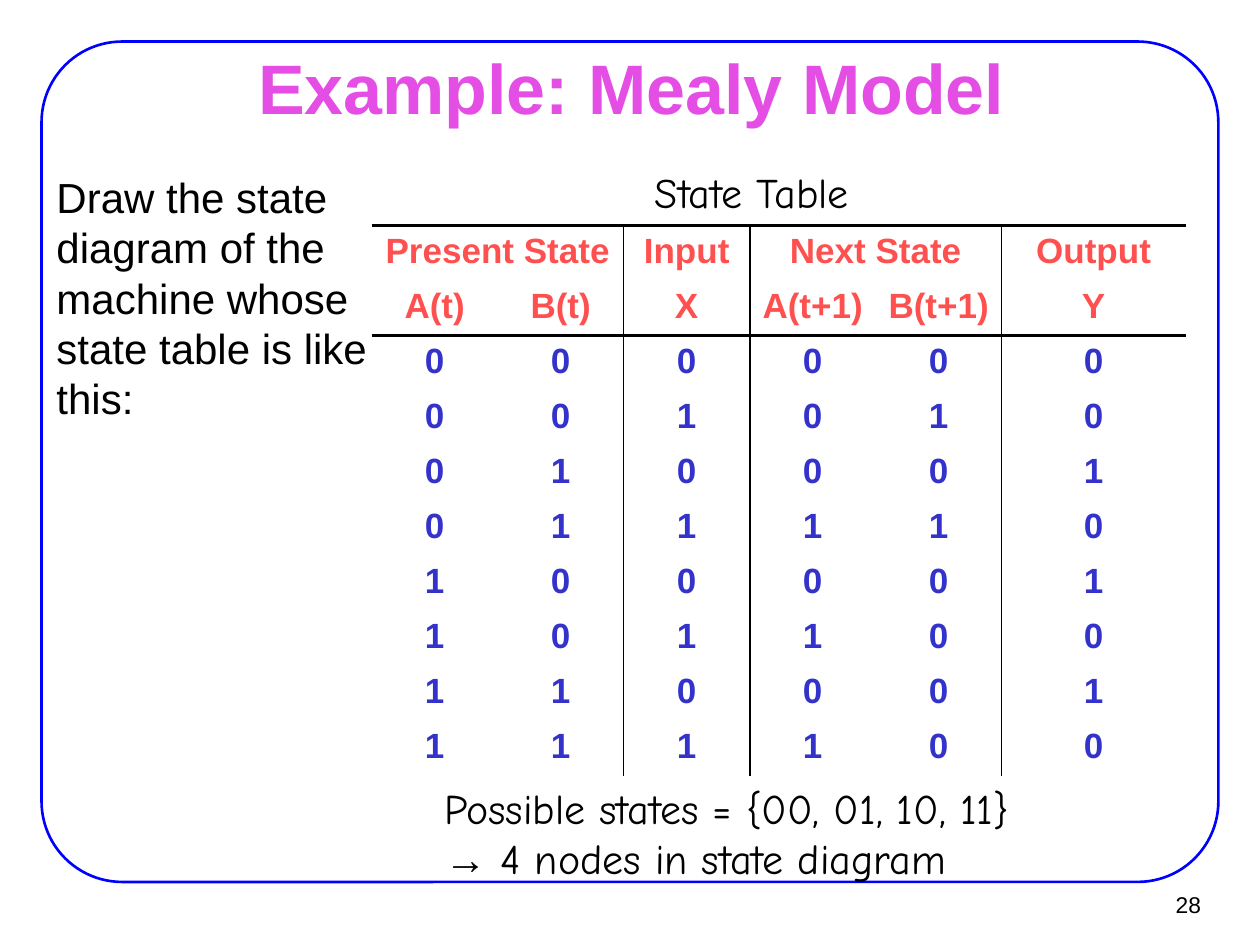
from pptx import Presentation
from pptx.dml.color import RGBColor
from pptx.enum.shapes import MSO_SHAPE
from pptx.enum.text import MSO_ANCHOR, PP_ALIGN
from pptx.oxml import parse_xml
from pptx.oxml.ns import nsdecls
from pptx.util import Inches, Pt


def style(para, size, color, font="Arial", bold=False, align=PP_ALIGN.LEFT, before=0):
    """Format a paragraph and all of its runs."""
    para.alignment = align
    para.space_before = Pt(before)
    for span in para.runs:
        span.font.size = Pt(size)
        span.font.name = font
        span.font.bold = bold
        span.font.color.rgb = RGBColor.from_string(color)


def add_text(page, place, text, anchor=MSO_ANCHOR.TOP, wrap=True, **look):
    """Add a text box at (left, top, width, height) inches and return its frame."""
    frame = page.shapes.add_textbox(*map(Inches, place)).text_frame
    frame.word_wrap = wrap
    frame.vertical_anchor = anchor
    frame.text = text
    for para in frame.paragraphs:
        style(para, **look)
    return frame


deck = Presentation()
deck.slide_width, deck.slide_height = Inches(10), Inches(7.5)
page = deck.slides.add_slide(deck.slide_layouts[6])

# Rounded border with equal margins on the left, right and top
margin = 0.33
border = page.shapes.add_shape(
    MSO_SHAPE.ROUNDED_RECTANGLE,
    *map(Inches, (margin, margin, 10 - 2 * margin, 6.67)))
border.adjustments[0] = 0.096
border.shadow.inherit = False
border.fill.background()
border.line.color.rgb = RGBColor.from_string("0000FF")
border.line.width = Pt(1.5)

add_text(page, (9.02, 6.99, 0.61, 0.37), "28", MSO_ANCHOR.MIDDLE, False,
         size=13, color="000000", align=PP_ALIGN.RIGHT)
add_text(page, (0.76, 0.44, 8.5, 0.49), "Example: Mealy Model", MSO_ANCHOR.MIDDLE,
         size=40, color="E44EE4", bold=True, align=PP_ALIGN.CENTER)

# State table: two header rows, then one row per state and input
headers = [
    ["Present State", "", "Input", "Next State", "", "Output"],
    ["A(t)", "B(t)", "X", "A(t+1)", "B(t+1)", "Y"],
]
states = ["000000", "001010", "010001", "011110",
          "100001", "101100", "110001", "111100"]
rows = headers + [list(state) for state in states]
column_widths = [1, 1, 1, 1, 1, 1.46]
table_height = 4.37

# Line widths in points, keyed by the grid edge they run along
column_rules = {2: 0.74, 3: 1.47, 5: 0.45}
row_rules = {0: 1.47, len(headers): 1.47}

table_frame = page.shapes.add_table(
    len(rows), len(column_widths), Inches(2.95), Inches(1.79),
    Inches(sum(column_widths)), Inches(table_height))
table = table_frame.table
table.first_row = table.horz_banding = False
no_style_no_grid = "{2D5ABB26-0587-4C30-8999-92F81FD0307C}"
table._tbl.tblPr[0].text = no_style_no_grid
for column, width in zip(table.columns, column_widths):
    column.width = Inches(width)
for row in table.rows:
    row.height = Inches(table_height / len(rows))
for first in (0, 3):
    table.cell(0, first).merge(table.cell(0, first + 1))

for r, values in enumerate(rows):
    for c, value in enumerate(values):
        cell = table.cell(r, c)
        cell.fill.background()
        if value:
            cell.text = value
            style(cell.text_frame.paragraphs[0], 20,
                  "FF5050" if r < len(headers) else "3333CC",
                  bold=True, align=PP_ALIGN.CENTER, before=5)
        right = c + (cell.span_width if cell.is_merge_origin else 1)
        edges = [("L", column_rules.get(c)), ("R", column_rules.get(right)),
                 ("T", row_rules.get(r)), ("B", row_rules.get(r + 1))]
        properties = cell._tc.get_or_add_tcPr()
        for position, (side, width) in enumerate(edges):
            paint = ('<a:solidFill><a:srgbClr val="000000"/></a:solidFill>'
                     if width else "<a:noFill/>")
            properties.insert(position, parse_xml(
                f'<a:ln{side} {nsdecls("a")} w="{Pt(width or 0)}">{paint}</a:ln{side}>'))

add_text(page, (5.1, 1.27, 4.17, 0.5), "State Table",
         size=24, color="000000", font="Comic Neue")

notes = add_text(page, (3.43, 6.16, 5.5, 0.9),
                 "Possible states = {00, 01, 10, 11}\n→",
                 size=24, color="000000", font="Comic Neue")
conclusion = notes.paragraphs[1]
conclusion.add_run().text = " 4 nodes in state diagram"
style(conclusion, 24, "000000", "Comic Neue")
conclusion.runs[0].font.name = "Arial"

add_text(page, (0.35, 1.31, 2.76, 2.1),
         "Draw the state diagram of the machine whose state table is like this:",
         size=24, color="000000", before=15)

deck.save("out.pptx")
